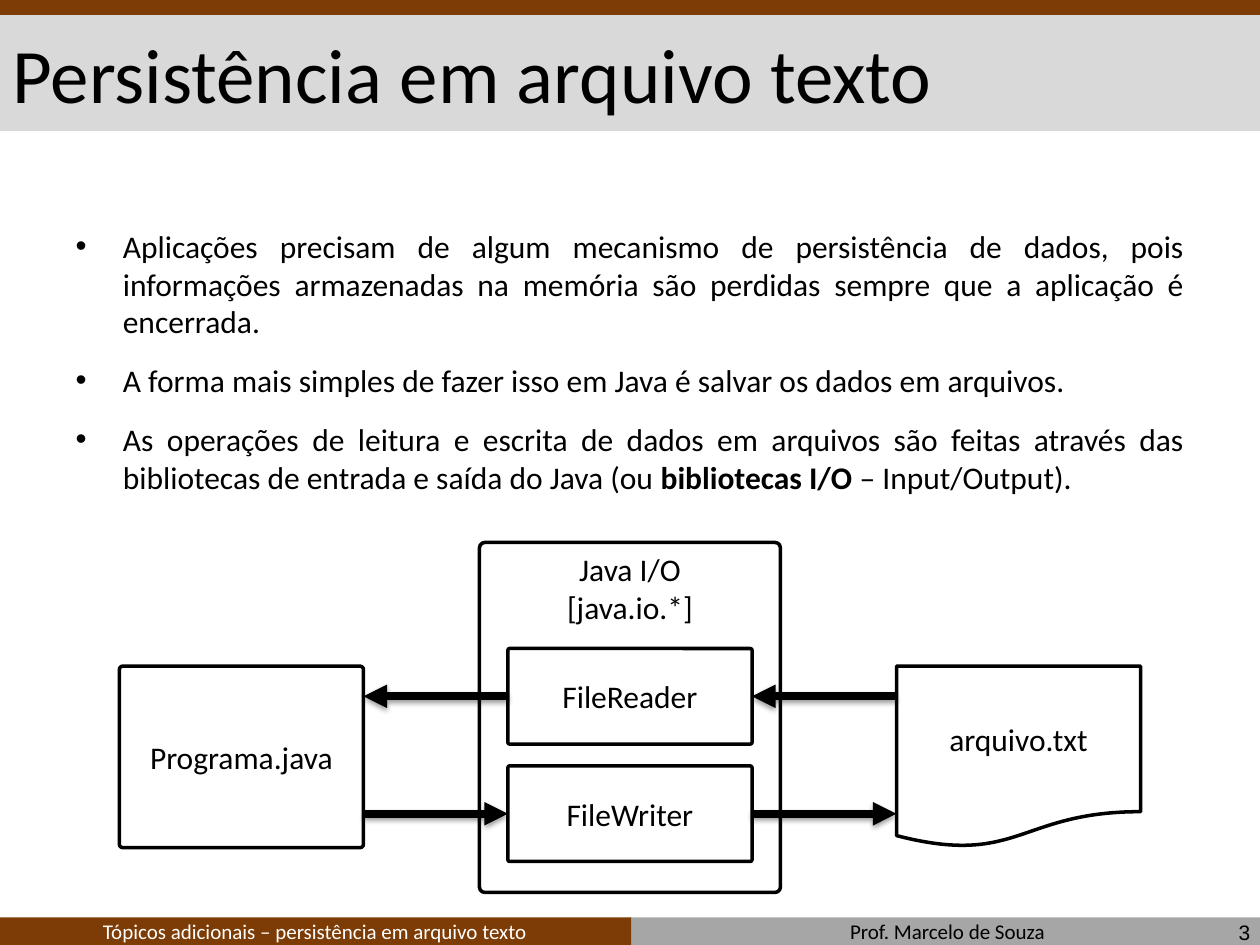
from typing import NamedTuple

from lxml.etree import SubElement
from pptx import Presentation
from pptx.dml.color import RGBColor
from pptx.enum.shapes import MSO_CONNECTOR, MSO_SHAPE
from pptx.enum.text import MSO_ANCHOR, MSO_AUTO_SIZE, PP_ALIGN
from pptx.oxml import parse_xml
from pptx.oxml.ns import nsdecls, qn
from pptx.util import Pt

BLACK = RGBColor(0x00, 0x00, 0x00)
WHITE = RGBColor(0xFF, 0xFF, 0xFF)
BROWN = RGBColor(0x7D, 0x3B, 0x05)
GRAY = RGBColor(0xA6, 0xA6, 0xA6)
LIGHT = RGBColor(0xD9, 0xD9, 0xD9)


class Box(NamedTuple):
    """Rectangle on the slide, in points."""
    x: float
    y: float
    w: float
    h: float


class Band(NamedTuple):
    """Plain coloured strip of the slide frame."""
    box: Box
    color: RGBColor


class Node(NamedTuple):
    """Labelled box of the diagram."""
    box: Box
    lines: list
    shape: MSO_SHAPE = MSO_SHAPE.ROUNDED_RECTANGLE
    anchor: MSO_ANCHOR = MSO_ANCHOR.MIDDLE


class Label(NamedTuple):
    """Small text of the footer."""
    box: Box
    text: str
    color: RGBColor = BLACK
    align: PP_ALIGN = PP_ALIGN.CENTER
    anchor: MSO_ANCHOR = MSO_ANCHOR.BOTTOM
    font: str = "Calibri"


BANDS = [
    Band(Box(360, 524.2, 360.7, 17.3), GRAY),
    Band(Box(0, 524.2, 360.7, 17.3), BROWN),
    Band(Box(0, 7.9, 720, 67), LIGHT),
    Band(Box(0, 0, 722, 8.6), BROWN),
]
LABELS = [
    Label(Box(360.7, 521.3, 361.4, 21.6), "Prof. Marcelo de Souza"),
    Label(Box(0, 521.3, 360, 21.6),
          "Tópicos adicionais – persistência em arquivo texto", WHITE),
    Label(Box(553.7, 520.8, 167.8, 23.8), "3", align=PP_ALIGN.RIGHT,
          anchor=MSO_ANCHOR.MIDDLE, font="Arial"),
]
BULLETS = [
    ["Aplicações precisam de algum mecanismo de persistência de dados, pois "
     "informações armazenadas na memória são perdidas sempre que a aplicação "
     "é encerrada."],
    ["A forma mais simples de fazer isso em Java é salvar os dados em arquivos."],
    ["As operações de leitura e escrita de dados em arquivos são feitas através "
     "das bibliotecas de entrada e saída do Java (ou ",
     "bibliotecas I/O", " – Input/Output)."],
]
NODE_W = 139.5
PROGRAM_X, CLASS_X, FILE_X = 68.2, 290.25, 512.3
READER_Y, WRITER_Y = 370.6, 437.7
NODES = [
    Node(Box(274, 310, 172, 200), ["Java I/O", "[java.io.*]"],
         anchor=MSO_ANCHOR.TOP),
    Node(Box(CLASS_X, READER_Y, NODE_W, 54.6), ["FileReader"]),
    Node(Box(CLASS_X, WRITER_Y, NODE_W, 54.6), ["FileWriter"]),
    Node(Box(PROGRAM_X, 380.7, NODE_W, 103.7), ["Programa.java"]),
    Node(Box(FILE_X, 380.7, NODE_W, 103.7), ["arquivo.txt"],
         MSO_SHAPE.FLOWCHART_DOCUMENT),
]


def place(sp, box: Box) -> None:
    """Move and size a shape."""
    sp.left, sp.top, sp.width, sp.height = map(Pt, box)


def write(p, text: str, size: float = 18, color: RGBColor = BLACK,
          bold: bool = False, font: str = "Calibri",
          align: PP_ALIGN = PP_ALIGN.CENTER) -> None:
    """Append a formatted run to a paragraph."""
    p.alignment = align
    r = p.add_run()
    r.text = text
    r.font.size, r.font.name, r.font.bold = Pt(size), font, bold
    r.font.color.rgb = color


def paragraph(tf, i: int):
    """Return the first paragraph or a new one."""
    return tf.add_paragraph() if i else tf.paragraphs[0]


def add_shape(s, kind: MSO_SHAPE, box: Box, color: RGBColor):
    """Add a filled shape without shadow or outline."""
    sp = s.shapes.add_shape(kind, *map(Pt, box))
    sp.shadow.inherit = False
    sp.fill.solid()
    sp.fill.fore_color.rgb = color
    sp.line.fill.background()
    return sp


def add_label(s, label: Label) -> None:
    """Add a footer text."""
    tf = s.shapes.add_textbox(*map(Pt, label.box)).text_frame
    tf.word_wrap = True
    tf.vertical_anchor = label.anchor
    write(tf.paragraphs[0], label.text, size=12, color=label.color,
          font=label.font, align=label.align)


def add_node(s, node: Node) -> None:
    """Add an outlined diagram box with its lines of text."""
    sp = add_shape(s, node.shape, node.box, WHITE)
    sp.line.color.rgb, sp.line.width = BLACK, Pt(2)
    if node.shape == MSO_SHAPE.ROUNDED_RECTANGLE:
        sp.adjustments[0] = 0.018
    tf = sp.text_frame
    tf.word_wrap = True
    tf.vertical_anchor = node.anchor
    for i, line in enumerate(node.lines):
        write(paragraph(tf, i), line)


def add_arrow(s, x1: float, x2: float, y: float) -> None:
    """Add a thick horizontal arrow with a soft shadow."""
    c = s.shapes.add_connector(MSO_CONNECTOR.STRAIGHT, Pt(x1), Pt(y), Pt(x2), Pt(y))
    c.line.color.rgb, c.line.width = BLACK, Pt(4.5)
    SubElement(c.line.fill and c.element.spPr.find(qn("a:ln")),
               qn("a:tailEnd"), type="triangle")
    c.element.spPr.append(parse_xml(
        f'<a:effectLst {nsdecls("a")}><a:outerShdw blurRad="{Pt(3.1)}" '
        f'dist="{Pt(1.6)}" dir="5400000" rotWithShape="0"><a:srgbClr val="{BLACK}">'
        '<a:alpha val="38000"/></a:srgbClr></a:outerShdw></a:effectLst>'))


def fill_placeholder(sp, box: Box, anchor: MSO_ANCHOR):
    """Bring a placeholder to the front, place it and return its text frame."""
    sp.element.getparent().append(sp.element)
    place(sp, box)
    tf = sp.text_frame
    tf.word_wrap = True
    tf.auto_size = MSO_AUTO_SIZE.NONE
    tf.vertical_anchor = anchor
    return tf


def main() -> None:
    """Build the slide and save it."""
    prs = Presentation()
    prs.slide_width, prs.slide_height = Pt(720), Pt(540)
    s = prs.slides.add_slide(prs.slide_layouts[1])
    for band in BANDS:
        add_shape(s, MSO_SHAPE.RECTANGLE, band.box, band.color)
    tf = fill_placeholder(s.placeholders[1], Box(36, 126, 648, 378), MSO_ANCHOR.TOP)
    for i, parts in enumerate(BULLETS):
        p = paragraph(tf, i)
        p.space_before = Pt(12)
        for j, text in enumerate(parts):
            write(p, text, bold=j == 1, align=PP_ALIGN.JUSTIFY)
    tf = fill_placeholder(s.shapes.title, Box(0, 8.6, 720, 65.5), MSO_ANCHOR.MIDDLE)
    write(tf.paragraphs[0], "Persistência em arquivo texto", size=44,
          align=PP_ALIGN.LEFT)
    for label in LABELS:
        add_label(s, label)
    for node in NODES:
        add_node(s, node)
    left, right = PROGRAM_X + NODE_W, CLASS_X + NODE_W
    for x1, x2 in [(left, CLASS_X), (right, FILE_X)]:
        add_arrow(s, x2, x1, READER_Y + 27.3)
        add_arrow(s, x1, x2, WRITER_Y + 27.3)
    prs.save("out.pptx")


main()
